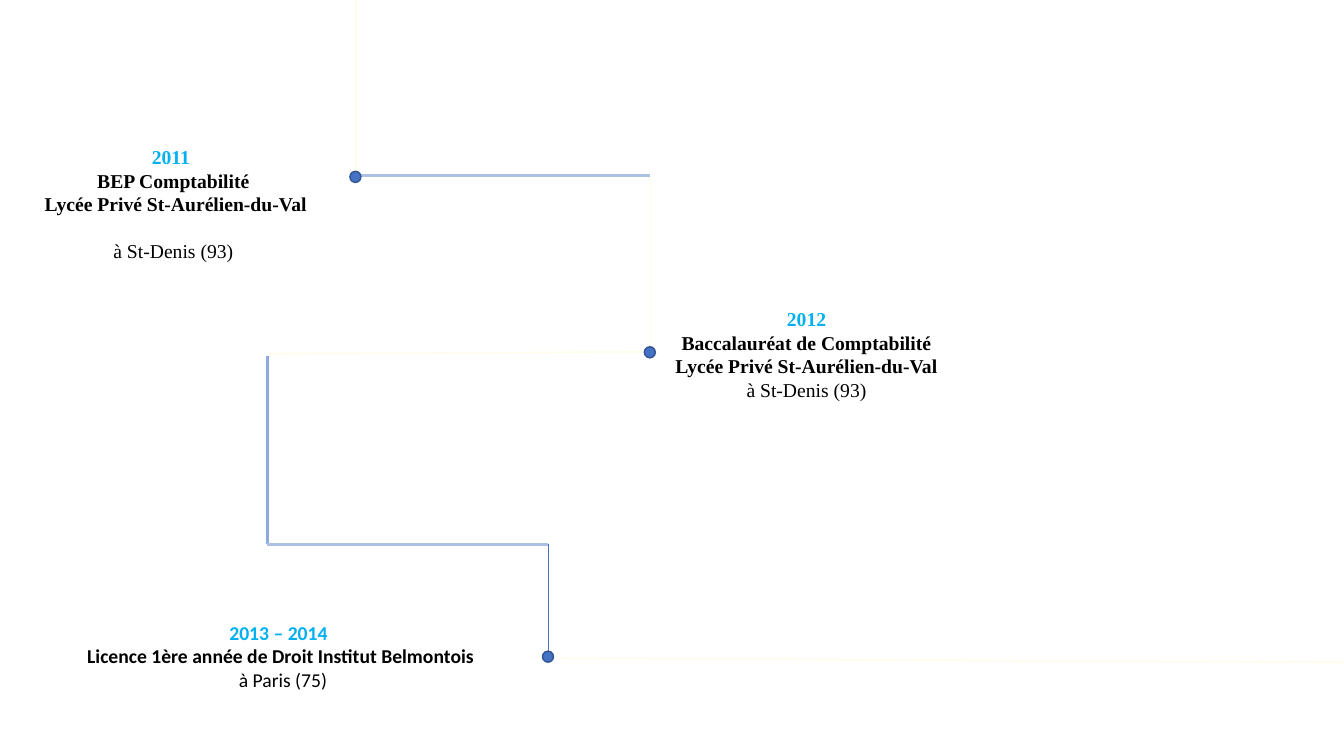
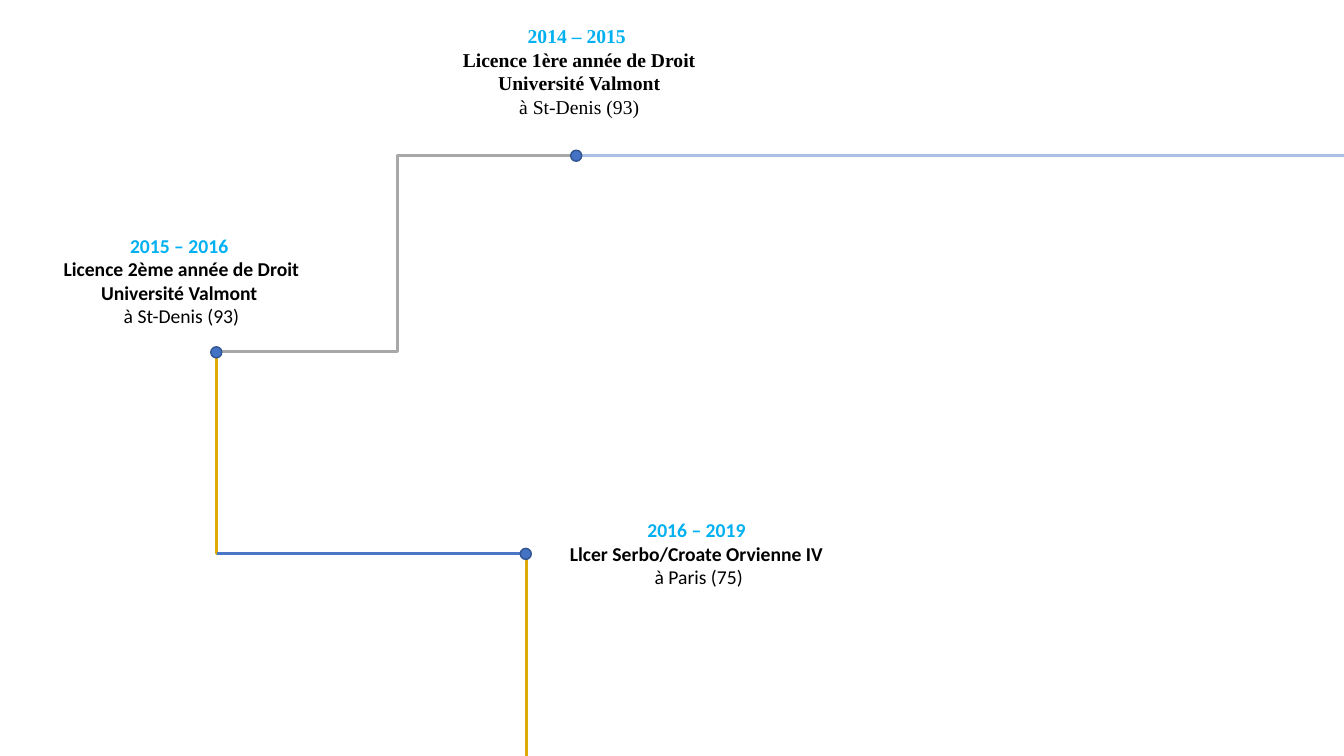
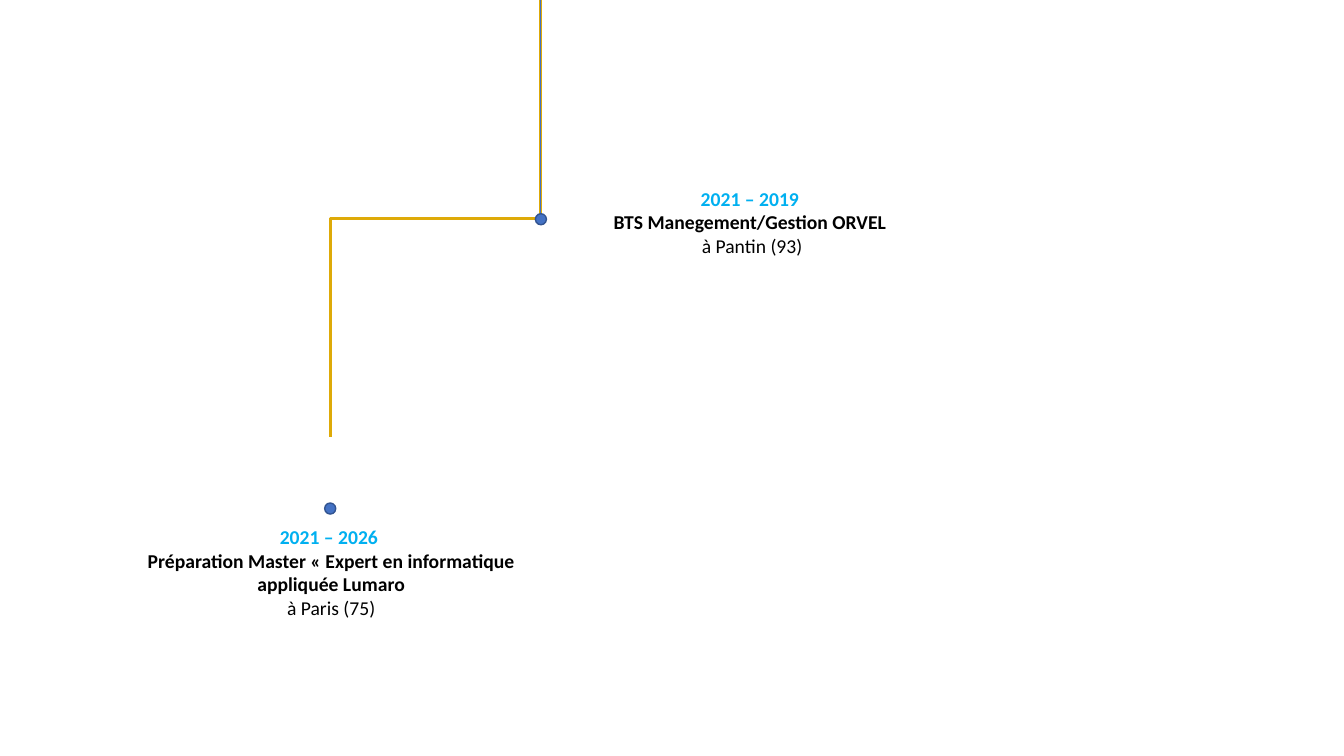
from copy import deepcopy
from pptx import Presentation
from pptx.dml.color import RGBColor
from pptx.enum.shapes import MSO_CONNECTOR, MSO_SHAPE
from pptx.enum.text import MSO_AUTO_SIZE, PP_ALIGN
from pptx.oxml.ns import qn
from pptx.util import Inches, Pt

LINE = MSO_CONNECTOR.STRAIGHT
BEND = MSO_CONNECTOR.ELBOW
DOT = MSO_SHAPE.FLOWCHART_CONNECTOR
CENTER = PP_ALIGN.CENTER
GROW = MSO_AUTO_SIZE.SHAPE_TO_FIT_TEXT

BLACK = RGBColor(0x00, 0x00, 0x00)
CYAN = RGBColor(0x00, 0xB0, 0xF0)
BLUE = RGBColor(0x44, 0x72, 0xC4)
NAVY = RGBColor(0x32, 0x54, 0x91)
MID = RGBColor(0x4A, 0x76, 0xC6)
SOFT = RGBColor(0x8F, 0xAA, 0xDC)
LIGHT = RGBColor(0xAB, 0xC0, 0xE4)
GREY = RGBColor(0xA8, 0xA8, 0xA8)
GOLD = RGBColor(0xDE, 0xAA, 0x08)
CREAM = RGBColor(0xFF, 0xFD, 0xEA)

SERIF = "Times New Roman"
SANS = "Calibri"
FINE = 1
THIN = 1.25
THICK = 2.25
SIZE = 0.11


def add_line(slide, kind, start, end, color, width, turn=False):
    x1, y1 = start
    x2, y2 = end
    angle = 0
    if turn:
        midx, midy = (x1 + x2) / 2, (y1 + y2) / 2
        side = 1 if x2 > x1 else -1
        angle = 270 if x2 > x1 else 90
        half, rise = (y2 - y1) / 2, abs(x2 - x1) / 2
        x1, x2 = midx + side * half, midx - side * half
        y1, y2 = midy - rise, midy + rise
    line = slide.shapes.add_connector(
        kind, Inches(x1), Inches(y1), Inches(x2), Inches(y2))
    line.line.color.rgb = color
    line.line.width = Pt(width)
    props = line._element.spPr
    props.append(props.makeelement(qn("a:effectLst"), {}))
    if angle:
        props.find(qn("a:xfrm")).set("rot", str(angle * 60000))


def add_label(slide, place, face, text, space=0):
    box = slide.shapes.add_textbox(*[Inches(v) for v in place])
    frame = box.text_frame
    frame.word_wrap = True
    frame.auto_size = GROW
    frame.text = text
    runs = [run for para in frame.paragraphs for run in para.runs]
    for run in runs:
        run.font.name = face
        run.font.size = Pt(14)
        run.font.bold = run is not runs[-1]
        run.font.color.rgb = CYAN if run is runs[0] else BLACK
    for para in frame.paragraphs:
        para.alignment = CENTER
        for gap in para._p.findall(qn("a:br")):
            gap.append(deepcopy(gap.getprevious().find(qn("a:rPr"))))
    if space:
        frame.paragraphs[-1].space_before = Pt(space)


PAGES = [
    {
        "lines": [
            (BEND, (3.53, 0), (6.45, 3.49), CREAM, FINE, True),
            (LINE, (3.53, 1.74), (6.45, 1.74), LIGHT, THICK),
            (LINE, (2.65, 3.53), (2.65, 5.4), SOFT, THICK),
            (LINE, (2.65, 5.4), (5.44, 5.4), LIGHT, THICK),
            (LINE, (5.44, 5.4), (5.44, 6.53), BLUE, THIN),
            (LINE, (5.44, 6.53), (13.33, 6.57), CREAM, FINE),
            (LINE, (2.65, 3.51), (6.45, 3.49), CREAM, FINE),
        ],
        "labels": [
            ((6.45, 3, 3.1, 1.04), SERIF,
             "2012\vBaccalauréat de Comptabilité\n"
             " Lycée Privé St-Aurélien-du-Val \và St-Denis (93)"),
            ((0.27, 1.39, 2.9, 1.04), SERIF,
             "2011 \vBEP Comptabilité\n"
             " Lycée Privé St-Aurélien-du-Val\nà St-Denis (93)", 16.8),
            ((0.27, 6.11, 5.03, 0.81), SANS,
             "2013 – 2014 \vLicence 1ère année de Droit Institut Belmontois\v"
             " à Paris (75)"),
        ],
        "dots": [(3.47, 1.7), (6.39, 3.44), (5.38, 6.46)],
    },
    {
        "lines": [
            (LINE, (13.33, 1.54), (5.74, 1.54), LIGHT, THICK),
            (BEND, (5.74, 1.54), (2.15, 3.49), GREY, THICK),
            (BEND, (2.15, 3.49), (5.22, 7.5), GOLD, THICK, True),
            (LINE, (2.15, 5.49), (5.22, 5.49), MID, THICK),
        ],
        "labels": [
            ((3.85, 0.19, 3.79, 1.04), SERIF,
             "2014 – 2015 \vLicence 1ère année de Droit\n"
             " Université Valmont \và St-Denis (93)"),
            ((0.21, 2.27, 3.18, 1.04), SANS,
             "2015 – 2016 \vLicence 2ème année de Droit Université Valmont \v"
             "à St-Denis (93)"),
            ((5.47, 5.09, 2.92, 0.81), SANS,
             "2016 – 2019 \vLlcer Serbo/Croate Orvienne IV \và Paris (75)"),
        ],
        "dots": [(5.66, 1.49), (2.09, 3.44), (5.16, 5.44)],
    },
    {
        "lines": [
            (BEND, (5.36, 0), (3.28, 4.34), GOLD, THICK, True),
            (LINE, (5.36, 0), (5.36, 2.17), BLUE, THIN),
        ],
        "labels": [
            ((5.14, 1.8, 4.64, 0.81), SANS,
             "2021 – 2019 \vBTS Manegement/Gestion ORVEL \và Pantin (93)"),
            ((1.16, 5.16, 4.25, 1.04), SANS,
             "2021 – 2026 \vPréparation Master « Expert en informatique "
             "appliquée Lumaro\v à Paris (75) "),
        ],
        "dots": [(5.31, 2.12), (3.22, 4.99)],
    },
]

deck = Presentation()
deck.slide_width = Inches(13.33)
deck.slide_height = Inches(7.5)
blank = deck.slide_layouts[6]

for page in PAGES:
    slide = deck.slides.add_slide(blank)
    for line in page["lines"]:
        add_line(slide, *line)
    for label in page["labels"]:
        add_label(slide, *label)
    for left, top in page["dots"]:
        dot = slide.shapes.add_shape(
            DOT, Inches(left), Inches(top), Inches(SIZE), Inches(SIZE))
        dot.shadow.inherit = False
        dot.fill.solid()
        dot.fill.fore_color.rgb = BLUE
        dot.line.color.rgb = NAVY
        dot.line.width = Pt(1)

deck.save("out.pptx")
